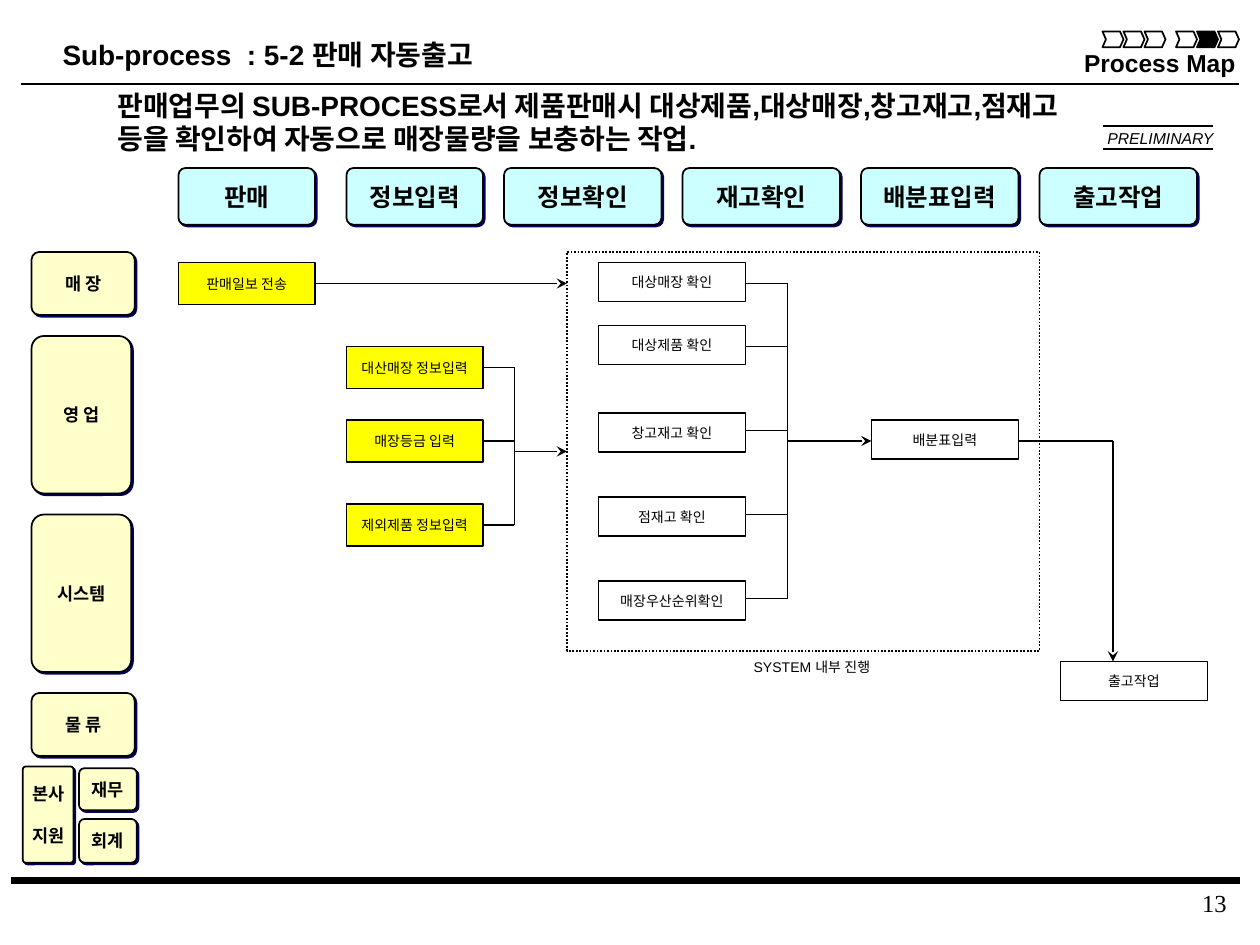
"""Build the sales auto-release process map slide."""
from dataclasses import dataclass
from typing import Any, NamedTuple, Optional

from lxml import etree
from pptx import Presentation
from pptx.dml.color import RGBColor
from pptx.enum.dml import MSO_LINE
from pptx.enum.shapes import MSO_CONNECTOR, MSO_SHAPE
from pptx.enum.text import MSO_ANCHOR, MSO_AUTO_SIZE, PP_ALIGN
from pptx.oxml.ns import qn
from pptx.util import Pt

RECT, ROUND, ARROW = MSO_SHAPE.RECTANGLE, MSO_SHAPE.ROUNDED_RECTANGLE, MSO_SHAPE.CHEVRON
STRAIGHT, DOT = MSO_CONNECTOR.STRAIGHT, MSO_LINE.ROUND_DOT
TOP, MID = MSO_ANCHOR.TOP, MSO_ANCHOR.MIDDLE
LEFT, MIDST, RIGHT = PP_ALIGN.LEFT, PP_ALIGN.CENTER, PP_ALIGN.RIGHT
FIXED = MSO_AUTO_SIZE.NONE


@dataclass(frozen=True)
class Theme:
    """Colours, fonts, type sizes and line widths."""
    ink: str = "000000"
    paper: str = "FFFFFF"
    phase: str = "CCFFFF"
    team: str = "FFFFCC"
    input: str = "FFFF00"
    shade: str = "000066"
    sans: str = "Arial"
    hangul: str = "Noto Sans CJK KR"
    serif: str = "Times New Roman"
    lead: float = 16
    head: float = 14
    label: float = 10
    stamp: float = 9
    small: float = 8
    thin: float = 1
    thick: float = 3.75


THEME = Theme()


class Box(NamedTuple):
    """Left, top, width and height in points."""
    x: float
    y: float
    w: float
    h: float


class Node(NamedTuple):
    """A labelled box of the map."""
    text: str
    box: Box
    fill: str


class Line(NamedTuple):
    """A straight line, with or without an arrowhead."""
    x1: float
    y1: float
    x2: float
    y2: float
    head: bool = False
    width: float = THEME.thin


PHASES = [("판매", 102, 78), ("정보입력", 198, 78), ("정보확인", 288, 90),
          ("재고확인", 390, 90), ("배분표입력", 492, 90), ("출고작업", 594, 90)]
TEAMS = [("매 장", Box(18, 144, 59, 36)), ("영 업", Box(18, 192, 57, 90)),
         ("시스템", Box(18, 294, 57, 90)), ("물 류", Box(18, 396, 59, 36)),
         ("본사\n지원", Box(13, 438, 29, 55)), ("재무", Box(45.2, 439, 33, 24)),
         ("회계", Box(45.2, 468, 33, 25))]
INPUTS = [("판매일보 전송", 102, 150), ("대산매장 정보입력", 198, 198),
          ("매장등금 입력", 198, 240), ("제외제품 정보입력", 198, 288)]
STEPS = [("대상매장 확인", 342, 150), ("대상제품 확인", 342, 186), ("창고재고 확인", 342, 236),
         ("점재고 확인", 342, 284), ("매장우산순위확인", 342, 332),
         ("배분표입력", 498, 240), ("출고작업", 606, 378)]
NODES = ([Node(text, Box(x, y, 78, 24), THEME.input) for text, x, y in INPUTS]
         + [Node(text, Box(x, y, 84, 22.3), THEME.paper) for text, x, y in STEPS])
RULES = [Line(12, 503.3, 708.5, 503.3, width=THEME.thick),
         Line(6.5, 503.3, 703, 503.3, width=THEME.thick),
         Line(12, 48, 708, 48)]
FLOWS = ([Line(276, y, 294, y) for y in (210, 252, 300)]
         + [Line(426, y, 450, y) for y in (162, 198, 246, 294, 342)]
         + [Line(294, 210, 294, 300), Line(450, 162, 450, 342), Line(582, 252, 636, 252),
            Line(180, 162, 324, 162, True), Line(294, 258, 324, 258, True),
            Line(450, 252, 498, 252, True), Line(636, 252, 636, 378, True)])


def place(box: Box) -> list[Pt]:
    """Turn a box into lengths."""
    return [Pt(side) for side in box]


def write(shape: Any, text: str, size: float, face: str = THEME.sans, align: Any = MIDST,
          anchor: Any = TOP, wrap: bool = False, inset: tuple[float, float] = (7.2, 3.6),
          gap: float = 0, **style: bool) -> None:
    """Fill a shape with formatted text."""
    frame = shape.text_frame
    wide, high = map(Pt, inset)
    form = {"text": text, "word_wrap": wrap, "auto_size": FIXED, "vertical_anchor": anchor,
            "margin_left": wide, "margin_right": wide,
            "margin_top": high, "margin_bottom": high}
    for key, value in form.items():
        setattr(frame, key, value)
    look = {"name": face, "size": Pt(size), "bold": False, "italic": False, **style}
    for rank, para in enumerate(frame.paragraphs):
        para.alignment = align
        para.space_before = Pt(gap if rank else 0)
        for run in para.runs:
            for key, value in look.items():
                setattr(run.font, key, value)
            run.font.color.rgb = RGBColor.from_string(THEME.ink)


def note(shapes: Any, box: Box, text: str, size: float, **form: Any) -> None:
    """Add a text box."""
    write(shapes.add_textbox(*place(box)), text, size, **form)


def draw(shapes: Any, kind: Any, box: Box, fill: Optional[str] = None) -> Any:
    """Add a thinly outlined shape."""
    shape = shapes.add_shape(kind, *place(box))
    shape.shadow.inherit = False
    if fill:
        shape.fill.solid()
        shape.fill.fore_color.rgb = RGBColor.from_string(fill)
    else:
        shape.fill.background()
    shape.line.color.rgb = RGBColor.from_string(THEME.ink)
    shape.line.width = Pt(THEME.thin)
    return shape


def plate(shapes: Any, node: Node, size: float) -> None:
    """Add a rounded plate with a hard shadow."""
    shape = draw(shapes, ROUND, node.box, node.fill)
    shape.adjustments[0] = 0.06 if "\n" in node.text else 0.125
    effects = shape.element.spPr.find(qn("a:effectLst"))
    cast = etree.SubElement(effects, qn("a:outerShdw"), blurRad="0", dist=str(Pt(1.4)),
                            dir="2700000", algn="ctr", rotWithShape="0")
    etree.SubElement(cast, qn("a:srgbClr"), val=THEME.shade)
    write(shape, node.text, size, THEME.hangul, anchor=MID, gap=12, bold=True)


def link(shapes: Any, line: Line) -> None:
    """Add a line or an arrow."""
    ends = [Pt(end) for end in line[:4]]
    wire = shapes.add_connector(STRAIGHT, *ends)
    wire.line.color.rgb = RGBColor.from_string(THEME.ink)
    wire.line.width = Pt(line.width)
    props = wire.element.spPr
    if line.head:
        etree.SubElement(props.find(qn("a:ln")), qn("a:tailEnd"), type="stealth")
    etree.SubElement(props, qn("a:effectLst"))


def main() -> None:
    """Compose and save the slide."""
    deck = Presentation()
    deck.slide_width, deck.slide_height = Pt(720), Pt(540)
    slide = deck.slides.add_slide(deck.slide_layouts[5])
    shapes = slide.shapes
    title = shapes.title
    spots = zip(("left", "top", "width", "height"), place(Box(24.5, 18, 257, 26.6)))
    for key, value in spots:
        setattr(title, key, value)
    write(title, "Sub-process  : 5-2 판매 자동출고", THEME.lead, bold=True)
    for line in RULES:
        link(shapes, line)
    note(shapes, Box(60, 46.8, 660, 45.4),
         "판매업무의 SUB-PROCESS로서 제품판매시 대상제품,대상매장,창고재고,점재고\n"
         "등을 확인하여 자동으로 매장물량을 보충하는 작업.",
         THEME.lead, align=LEFT, wrap=True, bold=True)
    stamp = shapes.add_group_shape().shapes
    note(stamp, Box(630, 72.7, 63.4, 12.2), "PRELIMINARY", THEME.stamp, align=RIGHT,
         anchor=MID, wrap=True, inset=(0, 0), italic=True)
    for y in (72, 85):
        link(stamp, Line(630, y, 693.4, y))
    note(shapes, Box(612, 23.8, 101.5, 23.8), "Process Map", THEME.head, bold=True)
    for rank, x in enumerate((630, 642, 654, 672, 684, 696)):
        mark = draw(shapes, ARROW, Box(x, 18, 12, 9), THEME.ink if rank == 4 else None)
        mark.adjustments[0] = 0.22
    for text, x, width in PHASES:
        plate(shapes, Node(text, Box(x, 96, width, 32.4), THEME.phase), THEME.head)
    for text, box in TEAMS:
        plate(shapes, Node(text, box, THEME.team), THEME.label)
    for node in NODES:
        write(draw(shapes, RECT, node.box, node.fill), node.text, THEME.small,
              anchor=MID, wrap=True, inset=(1.4, 2.9))
    draw(shapes, RECT, Box(324, 144, 270, 228)).line.dash_style = DOT
    for line in FLOWS:
        link(shapes, line)
    note(shapes, Box(421, 373, 86, 16.6), "SYSTEM 내부 진행", THEME.small)
    note(shapes, Box(576, 504, 132, 18), "13", THEME.head, face=THEME.serif,
         align=RIGHT, wrap=True)
    deck.save("out.pptx")


if __name__ == "__main__":
    main()
